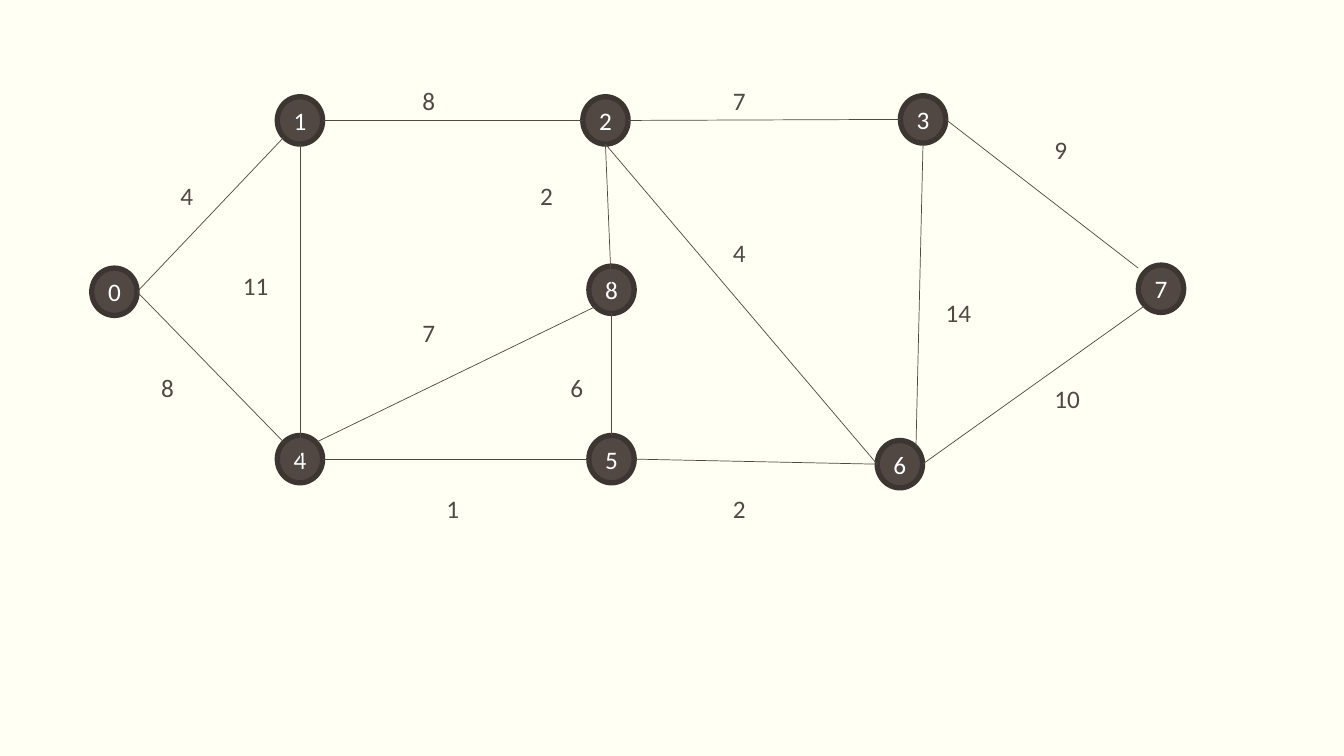
from dataclasses import dataclass
from typing import NamedTuple

from lxml import etree
from pptx import Presentation
from pptx.dml.color import RGBColor
from pptx.enum import shapes, text
from pptx.oxml import ns
from pptx.util import Inches, Pt


@dataclass(frozen=True)
class Theme:
    background: RGBColor = RGBColor.from_string("FFFFF3")
    node_fill: RGBColor = RGBColor.from_string("514843")
    node_line: RGBColor = RGBColor.from_string("3C3532")
    node_text: RGBColor = RGBColor.from_string("FFFFFF")
    ink: RGBColor = RGBColor.from_string("514843")
    font: str = "Calibri"
    size: Pt = Pt(18)
    node_border: Pt = Pt(3.78)
    edge_width: Pt = Pt(0.5)


class Box(NamedTuple):
    left: float
    top: float
    width: float
    height: float

    def inner(self, left, top, width, height):
        """Return a box whose left and top are measured from this one."""
        return Box(self.left + left, self.top + top, width, height)

    def lengths(self):
        return [Inches(value) for value in self]

    def anchor(self, site):
        """Return the point of the inscribed ellipse at the named site."""
        across, down = SITES[site]
        return (Inches(self.left + self.width * (1 + across) / 2),
                Inches(self.top + self.height * (1 + down) / 2))


class Edge(NamedTuple):
    start: int
    start_site: str
    end: int
    end_site: str
    weight: int
    label_left: float
    label_top: float
    label_width: float


THEME = Theme()
GRAPH_BOX = Box(0.91, 0.95, 10.83, 4.3)
NODE_WIDTH, NODE_HEIGHT = 0.45, 0.47
LABEL_HEIGHT = 0.4

# Sites as fractions of the half width and half height of a node
DIAGONAL = 0.71
SITES = {
    "center": (0, 0),
    "left": (-1, 0),
    "right": (1, 0),
    "top": (0, -1),
    "bottom": (0, 1),
    "top left": (-DIAGONAL, -DIAGONAL),
    "top right": (DIAGONAL, -DIAGONAL),
    "bottom left": (-DIAGONAL, DIAGONAL),
    "outer left": (-1, -0.87),
}

# Left and top of each node inside the graph box
NODES = {
    0: (0, 1.71),
    1: (1.84, 0.01),
    2: (4.87, 0.01),
    3: (8.02, 0),
    4: (1.84, 3.37),
    5: (4.93, 3.37),
    6: (7.79, 3.42),
    7: (10.38, 1.68),
    8: (4.93, 1.69),
}

EDGES = [
    Edge(0, "right", 1, "bottom left", 4, 0.78, 0.79, 0.46),
    Edge(0, "right", 4, "top left", 8, 0.59, 2.69, 0.4),
    Edge(1, "bottom", 4, "center", 11, 1.4, 1.68, 0.56),
    Edge(1, "right", 2, "left", 8, 3.18, -0.15, 0.67),
    Edge(2, "bottom", 8, "center", 2, 4.35, 0.79, 0.4),
    Edge(8, "bottom", 5, "top", 6, 4.65, 2.69, 0.29),
    Edge(4, "top right", 8, "bottom left", 7, 3.18, 2.15, 0.38),
    Edge(4, "right", 5, "left", 1, 3.42, 3.89, 0.45),
    Edge(3, "bottom", 6, "top right", 14, 8.37, 1.95, 0.48),
    Edge(2, "right", 3, "left", 7, 6.26, -0.15, 0.94),
    Edge(2, "bottom", 6, "left", 4, 6.26, 1.36, 0.38),
    Edge(5, "right", 6, "left", 2, 6.26, 3.89, 0.38),
    Edge(3, "right", 7, "outer left", 9, 9.45, 0.33, 0.33),
    Edge(6, "right", 7, "bottom left", 10, 9.45, 2.8, 0.59),
]


def write_number(shape, number, color, alignment):
    para = shape.text_frame.paragraphs[0]
    para.text = str(number)
    para.alignment = alignment
    para.font.name = THEME.font
    para.font.size = THEME.size
    para.font.color.rgb = color


def add_node(page, box, number):
    node = page.shapes.add_shape(shapes.MSO_SHAPE.OVAL, *box.lengths())
    node.shadow.inherit = False
    node.fill.solid()
    node.fill.fore_color.rgb = THEME.node_fill
    node.line.color.rgb = THEME.node_line
    node.line.width = THEME.node_border
    frame = node.text_frame
    frame.vertical_anchor = text.MSO_ANCHOR.MIDDLE
    frame.margin_left = frame.margin_right = 0
    write_number(node, number, THEME.node_text, text.PP_ALIGN.CENTER)


def add_edge(page, start, end):
    line = page.shapes.add_connector(shapes.MSO_CONNECTOR.STRAIGHT, *start, *end)
    line.line.color.rgb = THEME.ink
    line.line.width = THEME.edge_width
    etree.SubElement(line._element.spPr, ns.qn("a:effectLst"))


def add_weight(page, box, weight):
    label = page.shapes.add_textbox(*box.lengths())
    label.text_frame.word_wrap = True
    label.text_frame.auto_size = text.MSO_AUTO_SIZE.SHAPE_TO_FIT_TEXT
    write_number(label, weight, THEME.ink, text.PP_ALIGN.LEFT)


def add_graph(page, box):
    """Draw the weighted graph: nodes at the back, then edges, then weights."""
    node_boxes = {number: box.inner(left, top, NODE_WIDTH, NODE_HEIGHT)
                  for number, (left, top) in NODES.items()}
    for number, node_box in node_boxes.items():
        add_node(page, node_box, number)
    for edge in EDGES:
        add_edge(page, node_boxes[edge.start].anchor(edge.start_site),
                 node_boxes[edge.end].anchor(edge.end_site))
    for edge in EDGES:
        label_box = box.inner(edge.label_left, edge.label_top,
                              edge.label_width, LABEL_HEIGHT)
        add_weight(page, label_box, edge.weight)


def main():
    deck = Presentation()
    deck.slide_width, deck.slide_height = Inches(13.33), Inches(7.5)
    page = deck.slides.add_slide(deck.slide_layouts.get_by_name("Blank"))
    page.background.fill.solid()
    page.background.fill.fore_color.rgb = THEME.background
    add_graph(page, GRAPH_BOX)
    deck.save("out.pptx")


if __name__ == "__main__":
    main()
